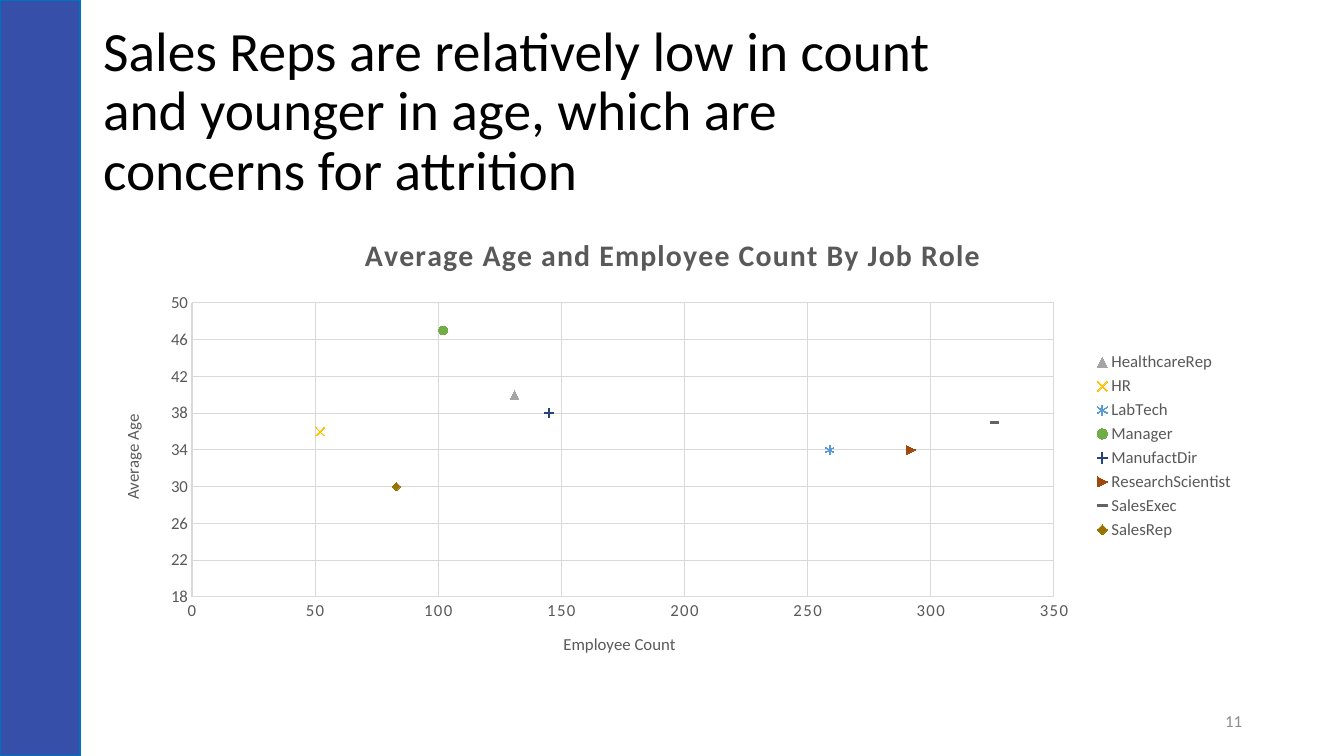
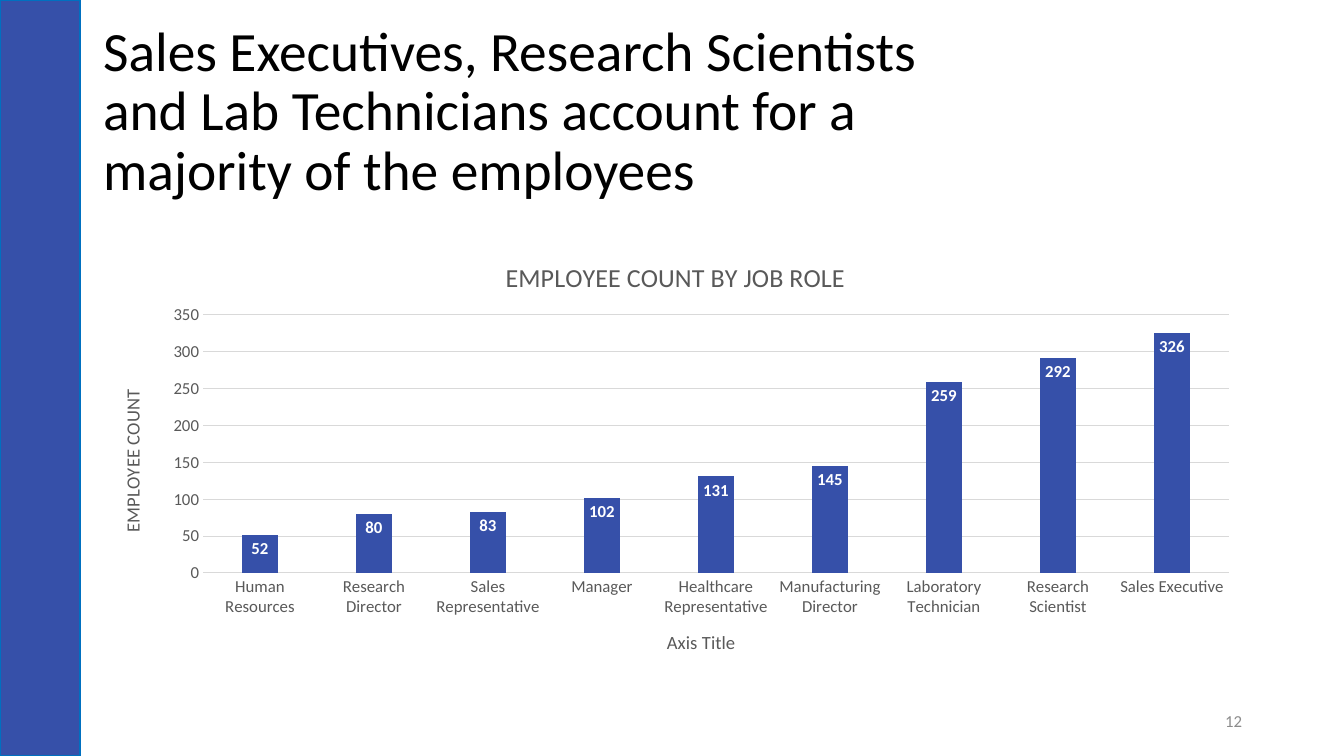
from lxml import etree
from pptx import Presentation, util as u
from pptx.chart.data import CategoryChartData, XyChartData
from pptx.dml.color import RGBColor
from pptx.enum import chart as ch, shapes, text
from pptx.oxml.ns import qn

PX = u.Inches(1) / 100.8
W, H = 1344, 756
FONT = "Calibri"
BLUE, EDGE, BLACK, WHITE = "3650A9", "0070C0", "000000", "FFFFFF"
GREY, GRID, NUMBER = "595959", "D9D9D9", "8C8C8C"

# name, employee count, average age, marker, colour, marker is filled
ROLES = [
    ("HealthcareRep", 131, 40, "TRIANGLE", "A5A5A5", True),
    ("HR", 52, 36, "X", "FFC000", False),
    ("LabTech", 259, 34, "STAR", "5B9BD5", False),
    ("Manager", 102, 47, "CIRCLE", "70AD47", True),
    ("ManufactDir", 145, 38, "PLUS", "264478", False),
    ("ResearchScientist", 292, 34, "DOT", "9E480E", True),
    ("SalesExec", 326, 37, "DASH", "636363", True),
    ("SalesRep", 83, 30, "DIAMOND", "997300", True),
]
COUNTS = {
    "Human Resources": 52, "Research Director": 80, "Sales Representative": 83,
    "Manager": 102, "Healthcare Representative": 131,
    "Manufacturing Director": 145, "Laboratory Technician": 259,
    "Research Scientist": 292, "Sales Executive": 326,
}


def px(*lengths):
    return [u.Emu(round(n * PX)) for n in lengths]


def rgb(color):
    return RGBColor.from_string(color)


def style(font, size=12, color=GREY, bold=False):
    font.name, font.size, font.bold = FONT, u.Pt(size), bold
    font.color.rgb = rgb(color)


def write(tf, words, align=None, spacing=None, **fmt):
    p = tf.paragraphs[0]
    p.alignment, p.line_spacing = align, spacing
    r = p.add_run()
    r.text = words
    style(r.font, **fmt)


def stroke(line, color, width=0.75):
    line.color.rgb, line.width = rgb(color), u.Pt(width)


# Parts shared by both slides: band, title, slide number
def base_slide(prs, title, number):
    s = prs.slides.add_slide(prs.slide_layouts[5])
    band = s.shapes.add_shape(shapes.MSO_SHAPE.RECTANGLE, *px(0, 0, 80, H))
    band.shadow.inherit = False
    band.fill.solid()
    band.fill.fore_color.rgb = rgb(BLUE)
    stroke(band.line, EDGE, 1)

    sp = s.shapes.title
    sp.left, sp.top, sp.width, sp.height = px(93, 40, 907, 146)
    tf = sp.text_frame
    tf.word_wrap, tf.auto_size = True, text.MSO_AUTO_SIZE.NONE
    tf.vertical_anchor = text.MSO_ANCHOR.MIDDLE
    write(tf, title, text.PP_ALIGN.LEFT, 0.9, size=39.6, color=BLACK)

    tf = s.shapes.add_textbox(*px(950, 701, 302, 40)).text_frame
    tf.word_wrap, tf.vertical_anchor = True, text.MSO_ANCHOR.MIDDLE
    write(tf, str(number), text.PP_ALIGN.RIGHT, color=NUMBER)
    return s


def format_axis(axis, title, size, grid=True, line=True, scale=None):
    axis.has_title = True
    write(axis.axis_title.text_frame, title, size=size)
    style(axis.tick_labels.font)
    axis.major_tick_mark = axis.minor_tick_mark = ch.XL_TICK_MARK.NONE
    axis.has_major_gridlines = grid
    if grid:
        stroke(axis.major_gridlines.format.line, GRID)
    if line:
        stroke(axis.format.line, GRID)
    else:
        axis.format.line.fill.background()
    if scale:
        axis.minimum_scale, axis.maximum_scale, axis.major_unit = scale
        axis.tick_labels.number_format = "0"
        axis.tick_labels.number_format_is_linked = False


def place_plot(chart, box, inner):
    """Fix the inner plot area; both boxes are in slide px."""
    plot = chart.element.xpath("c:chart/c:plotArea")[0]
    for old in plot.findall(qn("c:layout")):
        plot.remove(old)
    layout = etree.Element(qn("c:layout"))
    plot.insert(0, layout)
    manual = etree.SubElement(layout, qn("c:manualLayout"))
    x, y, w, h = box
    values = {"layoutTarget": "inner", "xMode": "edge", "yMode": "edge",
              "x": (inner[0] - x) / w, "y": (inner[1] - y) / h,
              "w": inner[2] / w, "h": inner[3] / h}
    for tag, value in values.items():
        etree.SubElement(manual, qn("c:" + tag)).set("val", str(value))


def add_chart(s, kind, data, box, inner, title, **fmt):
    chart = s.shapes.add_chart(kind, *px(*box), data).chart
    style(chart.font, size=10, color=BLACK)
    chart.has_title, chart.has_legend = True, False
    write(chart.chart_title.text_frame, title, **fmt)
    chart.chart_title.include_in_layout = False
    place_plot(chart, box, inner)
    chart.plots[0].vary_by_categories = False
    return chart


def turn_value_title(chart):
    body = chart.element.xpath("c:chart/c:plotArea/c:valAx[last()]/c:title//a:bodyPr")[0]
    body.set("rot", "-5400000")
    body.set("vert", "horz")


# Scatter of age against head count
def age_chart(s, box, inner):
    data = XyChartData()
    for name, count, age, *_ in ROLES:
        data.add_series(name).add_data_point(count, age)
    chart = add_chart(s, ch.XL_CHART_TYPE.XY_SCATTER, data, box, inner,
                      "Average Age and Employee Count By Job Role",
                      size=21.3, bold=True)
    format_axis(chart.category_axis, "Employee Count", 12, scale=(0, 350, 50))
    format_axis(chart.value_axis, "Average Age", 12, scale=(18, 50, 4))
    turn_value_title(chart)

    # Wider letter spacing in the title and the count labels
    for where in ("c:title//a:rPr", "c:plotArea/c:valAx[1]/c:txPr//a:defRPr"):
        chart.element.xpath("c:chart/" + where)[0].set("spc", "100")

    for series, (_, _, _, marker, color, filled) in zip(chart.plots[0].series, ROLES):
        series.format.line.fill.background()
        m = series.marker
        m.style, m.size = ch.XL_MARKER_STYLE[marker], 6
        stroke(m.format.line, color)
        if filled:
            m.format.fill.solid()
            m.format.fill.fore_color.rgb = rgb(color)
        else:
            m.format.fill.background()

    chart.has_legend = True
    chart.legend.position = ch.XL_LEGEND_POSITION.RIGHT
    chart.legend.include_in_layout = False
    style(chart.legend.font)


# Columns of head count by role
def count_chart(s, box, inner):
    data = CategoryChartData()
    data.categories = list(COUNTS)
    data.add_series("Series 1", COUNTS.values())
    chart = add_chart(s, ch.XL_CHART_TYPE.COLUMN_CLUSTERED, data, box, inner,
                      "EMPLOYEE COUNT BY JOB ROLE", size=18.6)
    format_axis(chart.category_axis, "Axis Title", 13.3, grid=False)
    format_axis(chart.value_axis, "EMPLOYEE COUNT", 13.3, line=False,
                scale=(0, 350, 50))
    turn_value_title(chart)

    plot = chart.plots[0]
    plot.gap_width, plot.overlap = 219, -27
    fill = plot.series[0].format.fill
    fill.solid()
    fill.fore_color.rgb = rgb(BLUE)
    labels = plot.series[0].data_labels
    labels.show_value = True
    labels.position = ch.XL_LABEL_POSITION.INSIDE_END
    style(labels.font, color=WHITE, bold=True)


def main():
    prs = Presentation()
    prs.slide_width, prs.slide_height = px(W, H)

    s = base_slide(prs, "Sales Reps are relatively low in count and younger in age, "
                   "which are concerns for attrition", 11)
    age_chart(s, (101, 215, 1144, 462), (192, 303, 862, 294))

    s = base_slide(prs, "Sales Executives, Research Scientists and Lab Technicians "
                   "account for a majority of the employees", 12)
    count_chart(s, (99, 240, 1153, 437), (203, 315, 1026, 258))

    prs.save("out.pptx")


if __name__ == "__main__":
    main()
